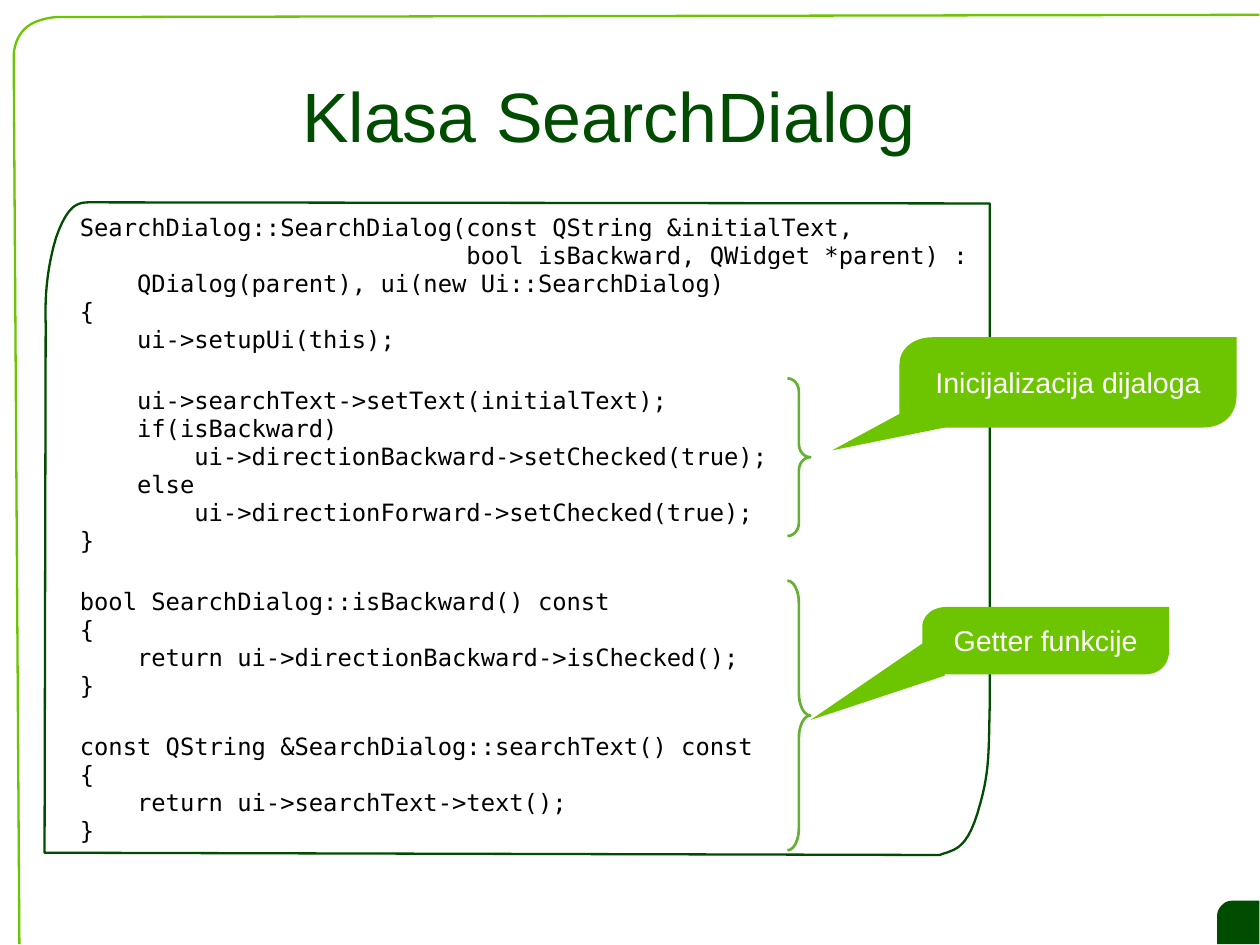
from pptx import Presentation
from pptx.dml.color import RGBColor
from pptx.enum import shapes, text
from pptx.util import Inches, Pt

DARK, LIME, BRACE, WHITE = "004C00", "6DC400", "66B036", "FFFFFF"
STEPS = 12

FRAME = [(11.02, 0.13), (0.5, 0.15), (0.49, 0.15, 0.3, 0.16, 0.21, 0.26),
         (0.12, 0.35, 0.12, 0.49, 0.12, 0.49), (0.17, 8.26)]
CORNER_TAB = [(10.8, 7.88), (11.02, 7.88), (11.02, 8.26), (10.65, 8.26), (10.65, 8.01),
              (10.65, 8, 10.65, 7.96, 10.69, 7.92), (10.73, 7.88, 10.76, 7.88, 10.8, 7.88)]
CODE_BORDER = [(0.8, 1.77), (8.66, 1.78), (8.66, 6.17),
               (8.65, 6.55, 8.66, 6.73, 8.58, 7.02), (8.47, 7.44, 8.36, 7.43, 8.22, 7.48),
               (0.39, 7.46), (0.4, 2.84),
               (0.4, 2.75, 0.38, 2.45, 0.49, 2.08), (0.6, 1.77, 0.69, 1.77, 0.8, 1.77)]
LEAF = [(0.1, 0), (1, 0), (1, 0.64), (1, 0.86, 0.96, 1, 0.9, 1),
        (0, 1), (0, 0.3), (0, 0.13, 0.04, 0, 0.1, 0)]

CODE = """SearchDialog::SearchDialog(const QString &initialText,
                           bool isBackward, QWidget *parent) :
    QDialog(parent), ui(new Ui::SearchDialog)
{
    ui->setupUi(this);

    ui->searchText->setText(initialText);
    if(isBackward)
        ui->directionBackward->setChecked(true);
    else
        ui->directionForward->setChecked(true);
}

bool SearchDialog::isBackward() const
{
    return ui->directionBackward->isChecked();
}

const QString &SearchDialog::searchText() const
{
    return ui->searchText->text();
}"""


def color(value):
    return RGBColor.from_string(value)


def flatten(outline):
    points = [outline[0]]
    for part in outline[1:]:
        if len(part) == 2:
            points.append(part)
            continue
        controls = [points[-1], part[:2], part[2:4], part[4:]]
        for step in range(1, STEPS + 1):
            t = step / STEPS
            weights = ((1 - t) ** 3, 3 * t * (1 - t) ** 2, 3 * t * t * (1 - t), t ** 3)
            points.append(tuple(sum(w * c[axis] for w, c in zip(weights, controls))
                                for axis in (0, 1)))
    return points


def paint(shape, fill=None, line=None, width=1.45):
    shape.shadow.inherit = False
    if fill:
        shape.fill.solid()
        shape.fill.fore_color.rgb = color(fill)
    else:
        shape.fill.background()
    if line:
        shape.line.color.rgb = color(line)
        shape.line.width = Pt(width)
    else:
        shape.line.fill.background()


def add_outline(page, outline, close=True, **style):
    points = [(Inches(x), Inches(y)) for x, y in flatten(outline)]
    builder = page.shapes.build_freeform(*points[0])
    builder.add_line_segments(points[1:], close=close)
    paint(builder.convert_to_shape(), **style)


def set_frame(frame, insets, anchor, wrap=True):
    frame.word_wrap = wrap
    frame.vertical_anchor = anchor
    (frame.margin_left, frame.margin_top,
     frame.margin_right, frame.margin_bottom) = map(Inches, insets)


def write(para, words, size, font, ink, align, spacing):
    para.alignment = align
    para.line_spacing = spacing
    span = para.add_run()
    span.text = words
    span.font.size = Pt(size)
    span.font.name = font
    span.font.color.rgb = color(ink)


def add_label(page, place, words, size, ink, insets):
    box = page.shapes.add_textbox(*map(Inches, place))
    set_frame(box.text_frame, insets, text.MSO_ANCHOR.MIDDLE)
    write(box.text_frame.paragraphs[0], words, size, "Arial", ink, text.PP_ALIGN.CENTER, 0.93)


def add_code(page, place, source):
    frame = page.shapes.add_textbox(*map(Inches, place)).text_frame
    set_frame(frame, (0.1, 0.05, 0, 0.05), text.MSO_ANCHOR.TOP, wrap=False)
    para = frame.paragraphs[0]
    for block_number, block in enumerate(source.split("\n\n")):
        for line_number, line in enumerate(block.split("\n")):
            if block_number or line_number:
                para = frame.add_paragraph()
            if block_number and not line_number:
                para.space_before = Pt(20.8)
            write(para, line, 15, "DejaVu Sans Mono", "000000", text.PP_ALIGN.LEFT, 0.98)


def add_brace(page, top, height):
    width = 0.2
    brace = page.shapes.add_shape(shapes.MSO_SHAPE.RIGHT_BRACE, Inches(6.89), Inches(top),
                                  Inches(width), Inches(height))
    brace.adjustments[0] = height / 12 / width
    paint(brace, line=BRACE, width=1.7)


def add_callout(page, place, tail, words):
    left, top, width, height = place
    body = [tuple(value * (width, height)[i % 2] + (left, top)[i % 2]
                  for i, value in enumerate(part)) for part in LEAF]
    add_outline(page, tail, fill=LIME)
    add_outline(page, body, fill=LIME)
    add_label(page, place, words, 18, WHITE, (0.11, 0.08, 0.11, 0.06))


def main():
    deck = Presentation()
    deck.slide_width, deck.slide_height = Inches(793.75 / 72), Inches(595.25 / 72)
    page = deck.slides.add_slide(deck.slide_layouts[6])
    page.background.fill.solid()
    page.background.fill.fore_color.rgb = color(WHITE)

    add_outline(page, CORNER_TAB, fill=DARK)
    add_outline(page, FRAME, close=False, line=LIME)
    add_label(page, (1.75, 0.33, 7.16, 1.38), "Klasa SearchDialog", 44, DARK, (0, 0.04, 0, 0))
    add_code(page, (0.6, 1.82, 7.95, 5.85), CODE)
    add_brace(page, 5.08, 2.36)
    add_brace(page, 3.31, 1.38)
    add_outline(page, CODE_BORDER, line=DARK)
    add_callout(page, (8.07, 5.31, 2.16, 0.59),
                [(8.07, 5.63), (7.09, 6.3), (8.27, 5.91)], "Getter funkcije")
    add_callout(page, (7.87, 2.95, 2.95, 0.79),
                [(8.15, 3.47), (7.28, 3.94), (8.27, 3.74)], "Inicijalizacija dijaloga")
    deck.save("out.pptx")


if __name__ == "__main__":
    main()
